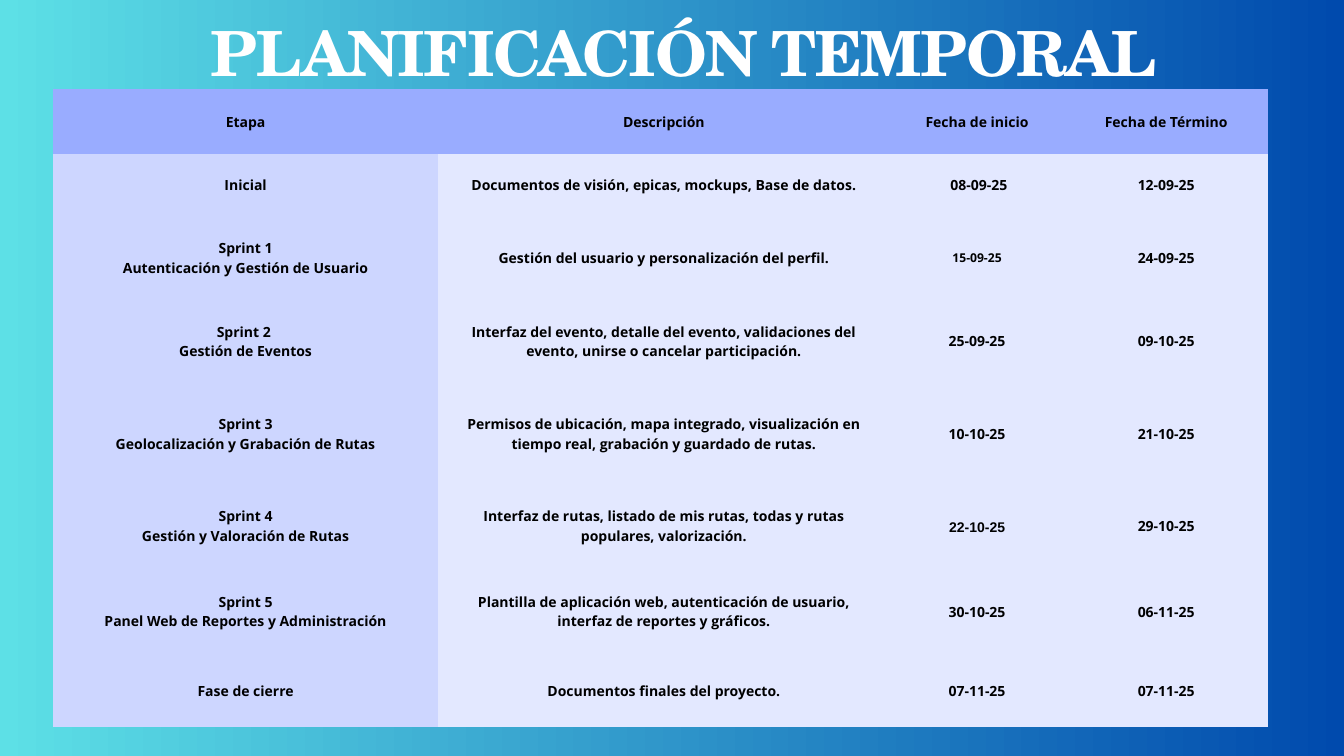
from dataclasses import dataclass
from typing import Any

from pptx import Presentation
from pptx.dml.color import RGBColor
from pptx.enum.text import MSO_ANCHOR, MSO_AUTO_SIZE, PP_ALIGN
from pptx.oxml.ns import qn
from pptx.util import Inches, Pt


@dataclass(frozen=True)
class Theme:
    sky_left: str = "5DE0E6"
    sky_right: str = "004AAD"
    header: str = "99ACFF"
    stage: str = "CDD6FF"
    detail: str = "E3E8FF"
    ink: str = "000000"
    title_ink: str = "FFFFFF"
    title_font: str = "TeX Gyre Schola"
    body_font: str = "Open Sans"
    other_font: str = "Arial"
    title_size: float = 66.7
    title_leading: float = 74
    body_size: float = 15
    small_size: float = 13
    leading_ratio: float = 1.4


@dataclass(frozen=True)
class Stage:
    height: float
    name: str
    description: str
    start: str
    end: str


THEME = Theme()
NO_STYLE = "{2D5ABB26-0587-4C30-8999-92F81FD0307C}"
COLUMN_WIDTHS = (5.73, 6.72, 2.6, 3.03)
STAGES = (
    Stage(0.96, "Etapa", "Descripción", "Fecha de inicio", "Fecha de Término"),
    Stage(0.93, "Inicial", "Documentos de visión, epicas, mockups, Base de datos.",
          " 08-09-25", "12-09-25"),
    Stage(1.24, "Sprint 1\nAutenticación y Gestión de Usuario",
          "Gestión del usuario y personalización del perfil.", "15-09-25", "24-09-25"),
    Stage(1.24, "Sprint 2 \nGestión de Eventos",
          "Interfaz del evento, detalle del evento, validaciones del evento, "
          "unirse o cancelar participación.", "25-09-25", "09-10-25"),
    Stage(1.51, "Sprint 3\nGeolocalización y Grabación de Rutas",
          "Permisos de ubicación, mapa integrado, visualización en tiempo real, "
          "grabación y guardado de rutas.", "10-10-25", "21-10-25"),
    Stage(1.24, "Sprint 4\nGestión y Valoración de Rutas",
          "Interfaz de rutas, listado de mis rutas, todas y rutas populares, valorización.",
          "22-10-25", "29-10-25"),
    Stage(1.3, "Sprint 5\nPanel Web de Reportes y Administración",
          "Plantilla de aplicación web, autenticación de usuario, "
          "interfaz de reportes y gráficos.", "30-10-25", "06-11-25"),
    Stage(1.07, "Fase de cierre", "Documentos finales del proyecto.", "07-11-25", "07-11-25"),
)
DATE_FORMATS = {
    "15-09-25": {"size": THEME.small_size},
    "22-10-25": {"font": THEME.other_font},
}


def apply(target: Any, values: dict[str, Any]) -> None:
    """Set each named attribute on the target."""
    for name, value in values.items():
        setattr(target, name, value)


def write(frame: Any, text: str, font: str, size: float, color: str, leading: float) -> None:
    """Fill a text frame with centred bold paragraphs, one for each line."""
    frame.text = text
    for para in frame.paragraphs:
        apply(para, {"alignment": PP_ALIGN.CENTER, "line_spacing": Pt(leading)})
        for span in para.runs:
            apply(span.font, {"name": font, "size": Pt(size), "bold": True})
            span.font.color.rgb = RGBColor.from_string(color)


def paint_background(page: Any) -> None:
    """Give the page a gradient from left to right."""
    fill = page.background.fill
    fill.gradient()
    fill.gradient_angle = 0
    for stop, color in zip(fill.gradient_stops, (THEME.sky_left, THEME.sky_right)):
        stop.color.rgb = RGBColor.from_string(color)


def place_title(page: Any, text: str) -> None:
    """Move the title placeholder and set its wording."""
    title = page.shapes.title
    apply(title, {"left": Inches(1.93), "top": Inches(0.29),
                  "width": Inches(16.48), "height": Inches(1.04)})
    frame = title.text_frame
    apply(frame, {"margin_left": 0, "margin_right": 0, "margin_top": 0, "margin_bottom": 0,
                  "vertical_anchor": MSO_ANCHOR.TOP, "word_wrap": True,
                  "auto_size": MSO_AUTO_SIZE.NONE})
    write(frame, text, THEME.title_font, THEME.title_size, THEME.title_ink, THEME.title_leading)
    frame.paragraphs[0].runs[0].font._element.set("spc", "-170")


def fill_cell(cell: Any, text: str, color: str) -> None:
    """Colour one cell and write its text."""
    margin = Inches(0.21)
    apply(cell, {"margin_left": margin, "margin_right": margin, "margin_top": margin,
                 "margin_bottom": margin, "vertical_anchor": MSO_ANCHOR.MIDDLE})
    cell.fill.solid()
    cell.fill.fore_color.rgb = RGBColor.from_string(color)
    formats = DATE_FORMATS.get(text, {})
    size = formats.get("size", THEME.body_size)
    write(cell.text_frame, text, formats.get("font", THEME.body_font), size,
          THEME.ink, size * THEME.leading_ratio)


def add_schedule(page: Any, stages: tuple[Stage, ...]) -> None:
    """Draw the schedule table, with the first stage as its header."""
    table = page.shapes.add_table(
        len(stages), len(COLUMN_WIDTHS), Inches(0.79), Inches(1.33),
        Inches(sum(COLUMN_WIDTHS)), Inches(sum(stage.height for stage in stages))).table
    table.horz_banding = False
    table._tbl.tblPr.find(qn("a:tableStyleId")).text = NO_STYLE
    for column, width in zip(table.columns, COLUMN_WIDTHS):
        column.width = Inches(width)
    for index, (row, stage) in enumerate(zip(table.rows, stages)):
        row.height = Inches(stage.height)
        texts = (stage.name, stage.description, stage.start, stage.end)
        colors = (THEME.stage,) + (THEME.detail,) * 3 if index else (THEME.header,) * 4
        for cell, text, color in zip(row.cells, texts, colors):
            fill_cell(cell, text, color)


def main() -> None:
    """Build the deck and save it."""
    deck = Presentation()
    apply(deck, {"slide_width": Inches(20), "slide_height": Inches(11.25)})
    page = deck.slides.add_slide(deck.slide_layouts.get_by_name("Title Only"))
    paint_background(page)
    add_schedule(page, STAGES)
    place_title(page, "PLANIFICACIÓN TEMPORAL")
    deck.save("out.pptx")


if __name__ == "__main__":
    main()
